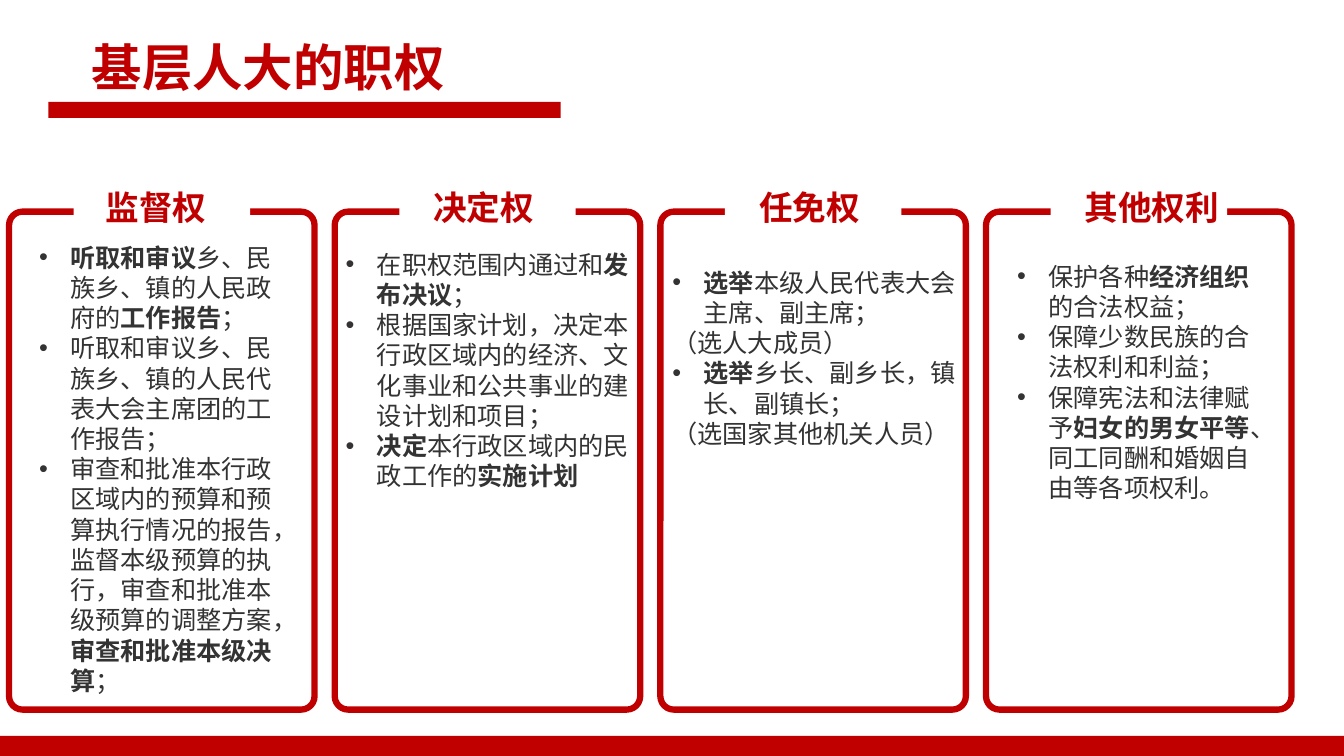
"""Build the slide on the powers of grassroots people's congresses."""
from dataclasses import dataclass

from lxml import etree
from pptx import Presentation
from pptx.dml.color import RGBColor
from pptx.enum import lang, shapes, text
from pptx.oxml import ns
from pptx.util import Inches, Pt

TITLE = "基层人大的职权"
POWERS = [
    {"heading": "监督权", "heading_at": 0.95, "body_at": (0.29, 2.35, 2.64, 5.25), "lines": [
        "• **听取和审议**乡、民族乡、镇的人民政府的**工作报告**；",
        "• 听取和审议乡、民族乡、镇的人民代表大会主席团的工作报告；",
        "• 审查和批准本行政区域内的预算和预算执行情况的报告，监督本级预算的执行，"
        "审查和批准本级预算的调整方案，**审查和批准本级决算**；"]},
    {"heading": "决定权", "heading_at": 4.2, "body_at": (3.33, 2.42, 3.01, 2.52), "lines": [
        "• 在职权范围内通过和**发布决议**；",
        "• 根据国家计划，决定本行政区域内的经济、文化事业和公共事业的建设计划和项目；",
        "• **决定**本行政区域内的民政工作的**实施计划**"]},
    {"heading": "任免权", "heading_at": 7.43, "body_at": (6.57, 2.6, 3.01, 1.92), "lines": [
        "• **选举**本级人民代表大会主席、副主席；",
        "（选人大成员）",
        "• **选举**乡长、副乡长，镇长、副镇长；",
        "（选国家其他机关人员）"]},
    {"heading": "其他权利", "heading_at": 10.66, "body_at": (9.99, 2.54, 2.61, 2.52), "lines": [
        "• 保护各种**经济组织**的合法权益；",
        "• 保障少数民族的合法权利和利益；",
        "• 保障宪法和法律赋予**妇女的男女平等**、同工同酬和婚姻自由等各项权利。"]},
]
FIRST_CARD, CARD_STEP = 0.09, 3.23
BULLET, BULLET_INDENT = "• ", Inches(0.31)


@dataclass(frozen=True)
class Theme:
    """Colours, font and type sizes."""
    red: RGBColor = RGBColor(0xC0, 0x00, 0x00)
    ink: RGBColor = RGBColor(0x33, 0x33, 0x33)
    white: RGBColor = RGBColor(0xFF, 0xFF, 0xFF)
    font: str = "Noto Sans CJK SC"
    title: int = 36
    heading: int = 24
    body: int = 18


THEME = Theme()


def add_bar(page, area, colour):
    """Add a filled rectangle without an outline."""
    bar = page.shapes.add_shape(shapes.MSO_SHAPE.RECTANGLE, *map(Inches, area))
    bar.shadow.inherit = False
    bar.fill.solid()
    bar.fill.fore_color.rgb = colour
    bar.line.fill.background()


def add_card(page, left):
    """Add a red rounded outline."""
    card = page.shapes.add_shape(shapes.MSO_SHAPE.ROUNDED_RECTANGLE,
                                 *map(Inches, (left, 2.1, 3.03, 4.94)))
    card.adjustments[0] = 0.044
    card.shadow.inherit = False
    card.fill.background()
    card.line.color.rgb = THEME.red
    card.line.width = Pt(4.5)


def style_span(span, size, colour, bold):
    """Format one run, East Asian font included."""
    font = span.font
    font.name, font.size, font.bold = THEME.font, Pt(size), bold
    font.color.rgb = colour
    font.language_id = lang.MSO_LANGUAGE_ID.SIMPLIFIED_CHINESE
    latin = font._element.find(ns.qn("a:latin"))
    east_asian = etree.Element(ns.qn("a:ea"), typeface=THEME.font)
    latin.addnext(east_asian)


def add_bullet(para):
    """Give a paragraph a hanging bullet."""
    properties = para._p.get_or_add_pPr()
    properties.set("marL", str(BULLET_INDENT))
    properties.set("indent", str(-BULLET_INDENT))
    etree.SubElement(properties, ns.qn("a:buFont"), typeface="Arial")
    etree.SubElement(properties, ns.qn("a:buChar"), char=BULLET.strip())


def add_text(page, area, lines, size, colour, bold=False):
    """Add a wrapped text box; double asterisks enclose bold words."""
    frame = page.shapes.add_textbox(*map(Inches, area)).text_frame
    frame.word_wrap = True
    for index, line in enumerate(lines):
        para = frame.add_paragraph() if index else frame.paragraphs[0]
        if line.startswith(BULLET):
            add_bullet(para)
        for part, words in enumerate(line.removeprefix(BULLET).split("**")):
            if words:
                span = para.add_run()
                span.text = words
                style_span(span, size, colour, bold or part % 2 == 1)


def add_title(page):
    """Place and format the title placeholder."""
    title = page.shapes.title
    title.left, title.top, title.width, title.height = map(Inches, (0.81, 0.3, 4.25, 0.71))
    frame = title.text_frame
    frame.text = TITLE
    frame.word_wrap = True
    frame.auto_size = text.MSO_AUTO_SIZE.NONE
    frame.vertical_anchor = text.MSO_ANCHOR.MIDDLE
    para = frame.paragraphs[0]
    para.alignment = text.PP_ALIGN.LEFT
    style_span(para.runs[0], THEME.title, THEME.red, True)


def main():
    """Build and save the deck."""
    deck = Presentation()
    deck.slide_width, deck.slide_height = Inches(13.33), Inches(7.5)
    page = deck.slides.add_slide(deck.slide_layouts.get_by_name("Title Only"))
    add_bar(page, (0, 7.3, 13.33, 0.2), THEME.red)
    add_bar(page, (0.48, 1.01, 5.08, 0.16), THEME.red)
    add_title(page)
    for index, power in enumerate(POWERS):
        left = FIRST_CARD + index * CARD_STEP
        add_card(page, left)
        add_bar(page, (left + 0.64, 1.77, 1.75, 0.71), THEME.white)
        add_text(page, (power["heading_at"], 1.81, 1.66, 0.5), [power["heading"]],
                 THEME.heading, THEME.red, True)
        add_text(page, power["body_at"], power["lines"], THEME.body, THEME.ink)
    deck.save("out.pptx")


if __name__ == "__main__":
    main()
